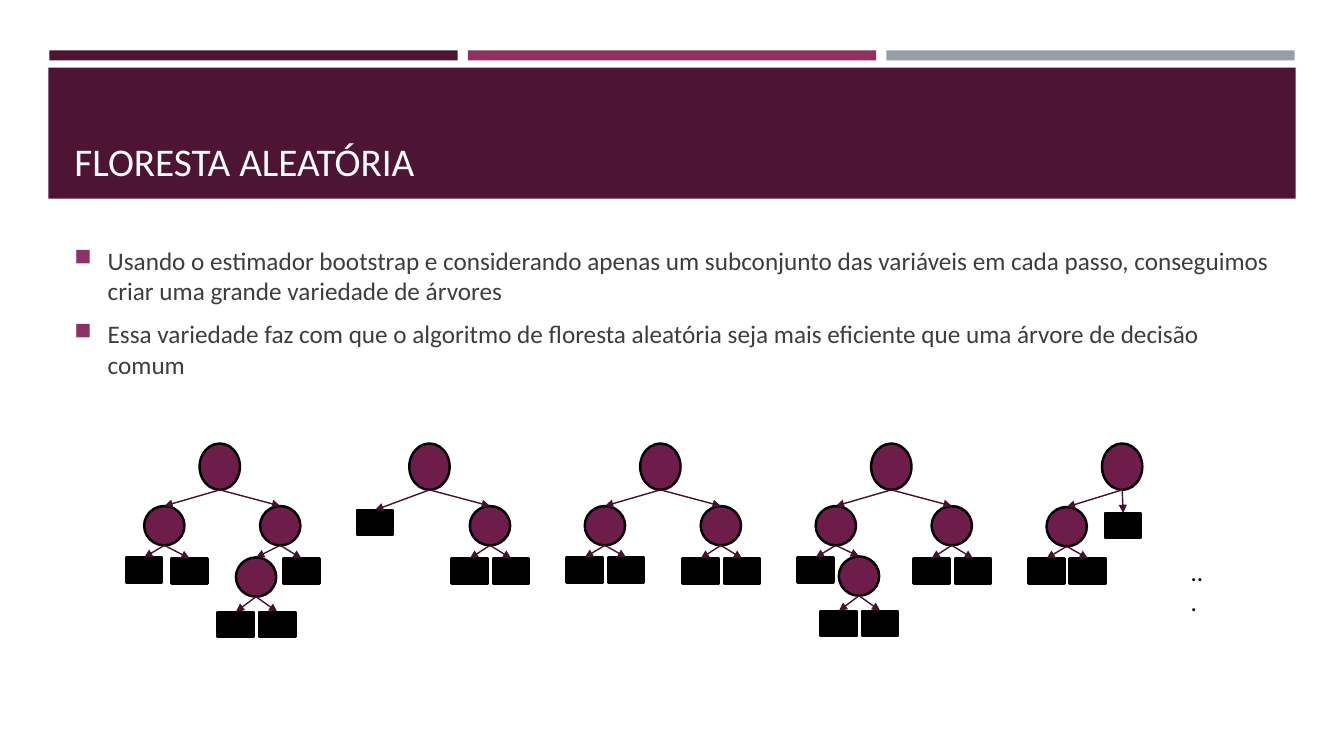
from dataclasses import dataclass

from lxml import etree
from pptx import Presentation
from pptx.dml.color import RGBColor
from pptx.enum.shapes import MSO_CONNECTOR, MSO_SHAPE
from pptx.enum.text import MSO_ANCHOR
from pptx.oxml.ns import qn
from pptx.util import Inches, Pt

RECTANGLE = MSO_SHAPE.RECTANGLE
OVAL = MSO_SHAPE.OVAL
STRAIGHT = MSO_CONNECTOR.STRAIGHT
TOP, BOTTOM = MSO_ANCHOR.TOP, MSO_ANCHOR.BOTTOM

FONT = "Calibri"
COLORS = {
    "plum": "4D1434",
    "magenta": "903163",
    "gray": "969FA7",
    "node": "6E1D4A",
    "arrow": "45122F",
    "body": "3D3D3D",
    "black": "000000",
    "white": "FFFFFF",
}

BULLETS = (
    "Usando o estimador bootstrap e considerando apenas um subconjunto das "
    "variáveis em cada passo, conseguimos criar uma grande variedade de árvores",
    "Essa variedade faz com que o algoritmo de floresta aleatória seja mais "
    "eficiente que uma árvore de decisão comum",
)


@dataclass
class Node:
    """A tree node; dx is the distance from the parent's centre."""
    dx: float
    top: float
    children: tuple = ()
    height: float = 0.39


def leaf_pair(top=5.54):
    return Node(-0.2, top), Node(0.21, top)


def left_branch(children, top=5.02):
    return Node(-0.55, top, children)


def right_branch(children):
    return Node(0.6, 5.02, children)


# Centre of each root, with its branches
FOREST = (
    (2.18, (left_branch((Node(-0.2, 5.53), Node(0.25, 5.54))),
            right_branch((Node(0.21, 5.54), Node(-0.24, 5.53, leaf_pair(6.07)))))),
    (4.26, (Node(-0.54, 5.06), right_branch(leaf_pair()))),
    (6.55, (left_branch(leaf_pair(5.53)), right_branch(leaf_pair()))),
    (8.84, (left_branch((Node(-0.2, 5.53), Node(0.23, 5.52, leaf_pair(6.06)))),
            right_branch(leaf_pair()))),
    (11.13, (left_branch(leaf_pair(), 5.03), Node(0.01, 5.09))),
)


def color(name):
    return RGBColor.from_string(COLORS[name])


def add_figure(page, preset, left, top, width, height, fill, outline=None):
    figure = page.shapes.add_shape(
        preset, Inches(left), Inches(top), Inches(width), Inches(height))
    figure.shadow.inherit = False
    figure.fill.solid()
    figure.fill.fore_color.rgb = color(fill)
    if outline:
        figure.line.color.rgb = color(outline)
        figure.line.width = Pt(1.75)
    else:
        figure.line.fill.background()
    return figure


def add_text(page, left, top, width, height, texts, size, ink, anchor=TOP):
    box = page.shapes.add_textbox(
        Inches(left), Inches(top), Inches(width), Inches(height))
    frame = box.text_frame
    frame.word_wrap = True
    frame.vertical_anchor = anchor
    for index, text in enumerate(texts):
        para = frame.add_paragraph() if index else frame.paragraphs[0]
        span = para.add_run()
        span.text = text
        span.font.name = FONT
        span.font.size = Pt(size)
        span.font.color.rgb = color(ink)
    return frame


def add_bullet(para):
    para.space_before = Pt(3.6)
    para.space_after = Pt(6)
    properties = para._p.get_or_add_pPr()
    properties.set("marL", str(Inches(0.33)))
    properties.set("indent", str(-Inches(0.33)))
    bullet_color = etree.SubElement(properties, qn("a:buClr"))
    etree.SubElement(bullet_color, qn("a:srgbClr"), val=COLORS["magenta"])
    etree.SubElement(properties, qn("a:buSzPct"), val="92000")
    etree.SubElement(properties, qn("a:buChar"), char="■")


def add_arrow(page, x, y, target):
    arrow = page.shapes.add_connector(
        STRAIGHT, Inches(x), Inches(y), target.left, target.top)
    arrow.end_connect(target, 0)
    arrow.line.color.rgb = color("arrow")
    arrow.line.width = Pt(1)
    etree.SubElement(arrow.line._get_or_add_ln(), qn("a:tailEnd"), type="triangle")
    etree.SubElement(arrow._element.spPr, qn("a:effectLst"))


def add_tree(page, node, center):
    """Draw a node with everything below it and return its shape."""
    if not node.children:
        return add_figure(page, RECTANGLE, center - 0.18, node.top,
                          0.36, 0.25, "black", "black")
    circle = add_figure(page, OVAL, center - 0.2, node.top,
                        0.4, node.height, "node", "black")
    for child in node.children:
        target = add_tree(page, child, center + child.dx)
        add_arrow(page, center, node.top + node.height, target)
    return circle


def main():
    deck = Presentation()
    deck.slide_width, deck.slide_height = Inches(13.33), Inches(7.5)
    page = deck.slides.add_slide(deck.slide_layouts[6])

    # Header stripes and title band
    for index, fill in enumerate(("plum", "magenta", "gray")):
        add_figure(page, RECTANGLE, 0.49 + index * 4.15, 0.5, 4.05, 0.1, fill)
    add_figure(page, RECTANGLE, 0.48, 0.67, 12.37, 1.3, "plum")
    add_text(page, 0.64, 0.77, 12.06, 1.11, ["FLORESTA ALEATÓRIA"],
             28, "white", BOTTOM)

    # Bulleted text
    body = add_text(page, 0.64, 2.38, 12.06, 4.02, BULLETS, 18, "body")
    for para in body.paragraphs:
        add_bullet(para)

    # Forest of decision trees
    for center, branches in FOREST:
        add_tree(page, Node(0, 4.4, branches, 0.46), center)
    add_text(page, 11.71, 5.47, 0.37, 0.4, ["..."], 18, "black")

    deck.save("out.pptx")


if __name__ == "__main__":
    main()
